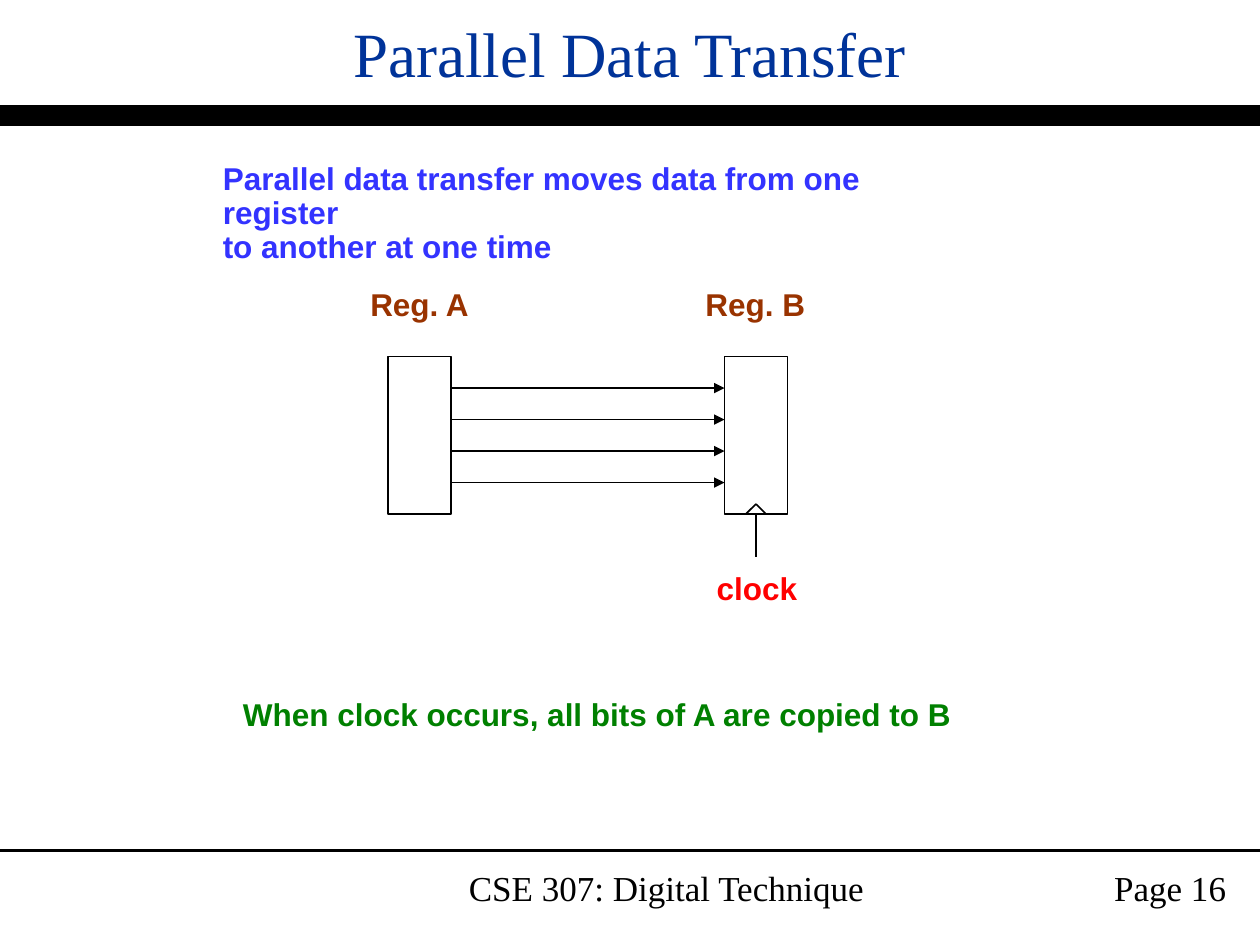
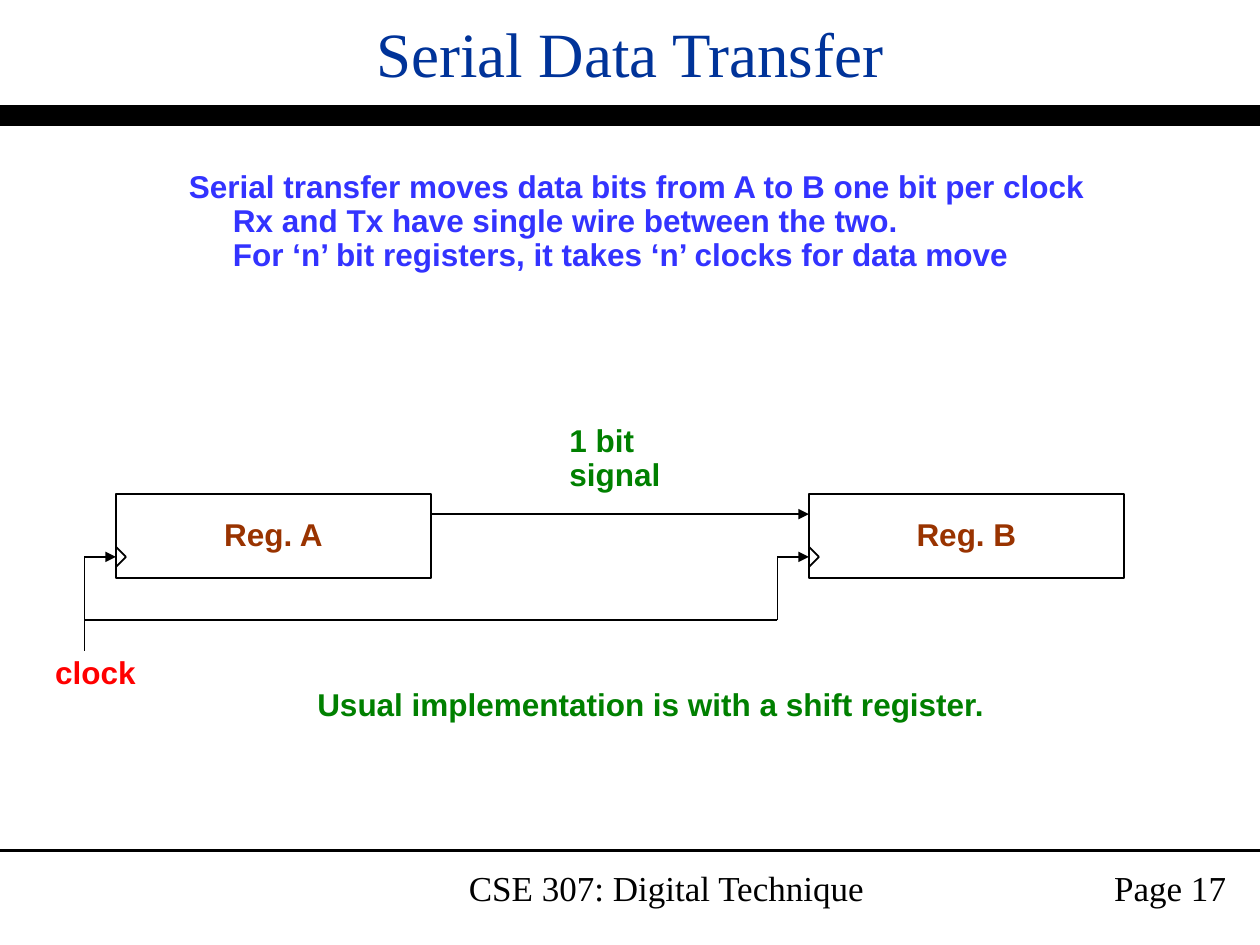
from itertools import pairwise

from lxml import etree
from pptx import Presentation
from pptx.dml.color import RGBColor
from pptx.enum.shapes import MSO_CONNECTOR, MSO_SHAPE
from pptx.enum.text import MSO_ANCHOR, PP_ALIGN
from pptx.oxml.ns import qn
from pptx.util import Inches, Pt

LEFT, MID, RIGHT = PP_ALIGN.LEFT, PP_ALIGN.CENTER, PP_ALIGN.RIGHT
MIDDLE = MSO_ANCHOR.MIDDLE
LINE, RECT = MSO_CONNECTOR.STRAIGHT, MSO_SHAPE.RECTANGLE
BOTTOM = 2  # connection site

COLORS = {
    "ink": "000000", "paper": "FFFFFF", "title": "003399", "lead": "3333FF",
    "reg": "993300", "clock": "FF0000", "note": "008000",
}
SERIF, SANS = "Times New Roman", "Arial"
COURSE = "CSE 307: Digital Technique"
TITLE_BOX = (0, 0, 10, 0.83)
BANDS = [(0.92, 12), (6.75, 1.5)]  # height on the slide, line width
COURSE_BOX, PAGE_BOX = (2.5, 6.83, 5.58, 0.5), (8.5, 6.83, 1.33, 0.5)
INDENT = 0.35
NOTCH = 0.08

# Each label: colour, box, lines of text, number of lines left unindented
PARALLEL = {
    "title": "Parallel Data Transfer",
    "page": 16,
    "labels": [
        ("lead", (1.67, 1.25, 6.24, 0.64),
         ["Parallel data transfer moves data from one register",
          "to another at one time"], 2),
        ("clock", (5.59, 4.5, 0.84, 0.37), ["clock"], 1),
        ("reg", (2.84, 2.25, 0.99, 0.37), ["Reg. A"], 1),
        ("reg", (5.5, 2.25, 0.99, 0.37), ["Reg. B"], 1),
        ("note", (1.83, 5.5, 5.84, 0.37),
         ["When clock occurs, all bits of A are copied to B"], 1),
    ],
}
SERIAL = {
    "title": "Serial Data Transfer",
    "page": 17,
    "labels": [
        ("lead", (1.4, 1.31, 7.32, 0.91),
         ["Serial transfer moves data bits from A to B one bit per clock",
          "Rx and Tx have single wire between the two.",
          "For ‘n’ bit registers, it takes ‘n’ clocks for data move"], 1),
        ("note", (4.42, 3.33, 0.92, 0.64), ["1 bit", "signal"], 2),
        ("note", (2.42, 5.42, 5.5, 0.37),
         ["Usual implementation is with a shift register."], 1),
        ("clock", (0.34, 5.17, 0.84, 0.37), ["clock"], 1),
    ],
}


def rgb(name):
    return RGBColor.from_string(COLORS[name])


def style(para, font, size, color, align, bold=False):
    para.alignment = align
    for run in para.runs:
        run.font.name, run.font.size, run.font.bold = font, Pt(size), bold
        run.font.color.rgb = rgb(color)


def wire(slide, points, head=False, width=1):
    """Join the points with straight lines; head puts an arrow on the last."""
    lines = []
    for start, end in pairwise(points):
        line = slide.shapes.add_connector(
            LINE, *(Inches(v) for v in (*start, *end)))
        line.line.color.rgb = rgb("ink")
        line.line.width = Pt(width)
        props = line.line._get_or_add_ln()
        etree.SubElement(line._element.spPr, qn("a:effectLst"))
        lines.append(line)
    if head:
        etree.SubElement(props, qn("a:tailEnd"), type="triangle")
    return lines


def label(slide, color, box, lines, flush):
    frame = slide.shapes.add_textbox(*map(Inches, box)).text_frame
    frame.word_wrap = False
    frame.text = "\n".join(lines)
    for i, para in enumerate(frame.paragraphs):
        if i >= flush:
            props = para._p.get_or_add_pPr()
            props.set("marL", str(Inches(INDENT)))
            props.set("indent", "0")
        para.line_spacing = 0.9
        style(para, SANS, 18, color, LEFT, True)


def footer(slide, box, text, align):
    frame = slide.shapes.add_textbox(*map(Inches, box)).text_frame
    frame.word_wrap = True
    frame.text = text
    style(frame.paragraphs[0], SERIF, 20, "ink", align)


def register(slide, box, name=""):
    reg = slide.shapes.add_shape(RECT, *map(Inches, box))
    reg.shadow.inherit = False
    reg.fill.solid()
    reg.fill.fore_color.rgb = rgb("paper")
    reg.line.color.rgb = rgb("ink")
    reg.line.width = Pt(1)
    if name:
        frame = reg.text_frame
        frame.word_wrap = False
        frame.vertical_anchor = MIDDLE
        frame.text = name
        frame.paragraphs[0].line_spacing = 0.9
        style(frame.paragraphs[0], SANS, 18, "reg", MID, True)
    return reg


def base(deck, page):
    """Add a slide with its title, bands and footers."""
    slide = deck.slides.add_slide(deck.slide_layouts[5])
    for y, width in BANDS:
        wire(slide, [(0, y), (10, y)], width=width)
    footer(slide, COURSE_BOX, COURSE, MID)
    footer(slide, PAGE_BOX, f"Page {page['page']}", RIGHT)
    title = slide.shapes.title
    title.left, title.top, title.width, title.height = map(Inches, TITLE_BOX)
    title.text_frame.text = page["title"]
    title.text_frame.vertical_anchor = MIDDLE
    style(title.text_frame.paragraphs[0], SERIF, 36, "title", MID)
    return slide


def parallel(deck):
    slide = base(deck, PARALLEL)
    a, b, top, wide, high = 3.08, 5.75, 2.83, 0.5, 1.25
    register(slide, (a, top, wide, high))
    reg = register(slide, (b, top, wide, high))
    bits = 4
    for i in range(1, bits + 1):
        y = top + i * high / (bits + 1)
        wire(slide, [(a + wide, y), (b, y)], head=True)
    x, y = b + wide / 2, top + high
    wire(slide, [(x - NOTCH, y), (x, y - NOTCH), (x + NOTCH, y)])
    clock = wire(slide, [(x, y), (x, 4.42)])[0]
    clock.begin_connect(reg, BOTTOM)
    for item in PARALLEL["labels"]:
        label(slide, *item)


def serial(deck):
    slide = base(deck, SERIAL)
    a, b, top, wide, high = 0.92, 6.42, 3.92, 2.5, 0.67
    data, tick, bus, end, gap = 4.08, 4.42, 4.92, 5.17, 0.25
    for x, name in [(a, "Reg. A"), (b, "Reg. B")]:
        register(slide, (x, top, wide, high), name)
        wire(slide, [(x, tick - NOTCH), (x + NOTCH, tick), (x, tick + NOTCH)])
        wire(slide, [(x - gap, tick), (x, tick)], head=True)
    wire(slide, [(a + wide, data), (b, data)], head=True)
    wire(slide, [(b - gap, tick), (b - gap, bus), (a - gap, bus)])
    wire(slide, [(a - gap, tick), (a - gap, end)])
    for item in SERIAL["labels"]:
        label(slide, *item)


def main():
    deck = Presentation()
    deck.slide_width, deck.slide_height = Inches(10), Inches(7.5)
    parallel(deck)
    serial(deck)
    deck.save("out.pptx")


if __name__ == "__main__":
    main()
